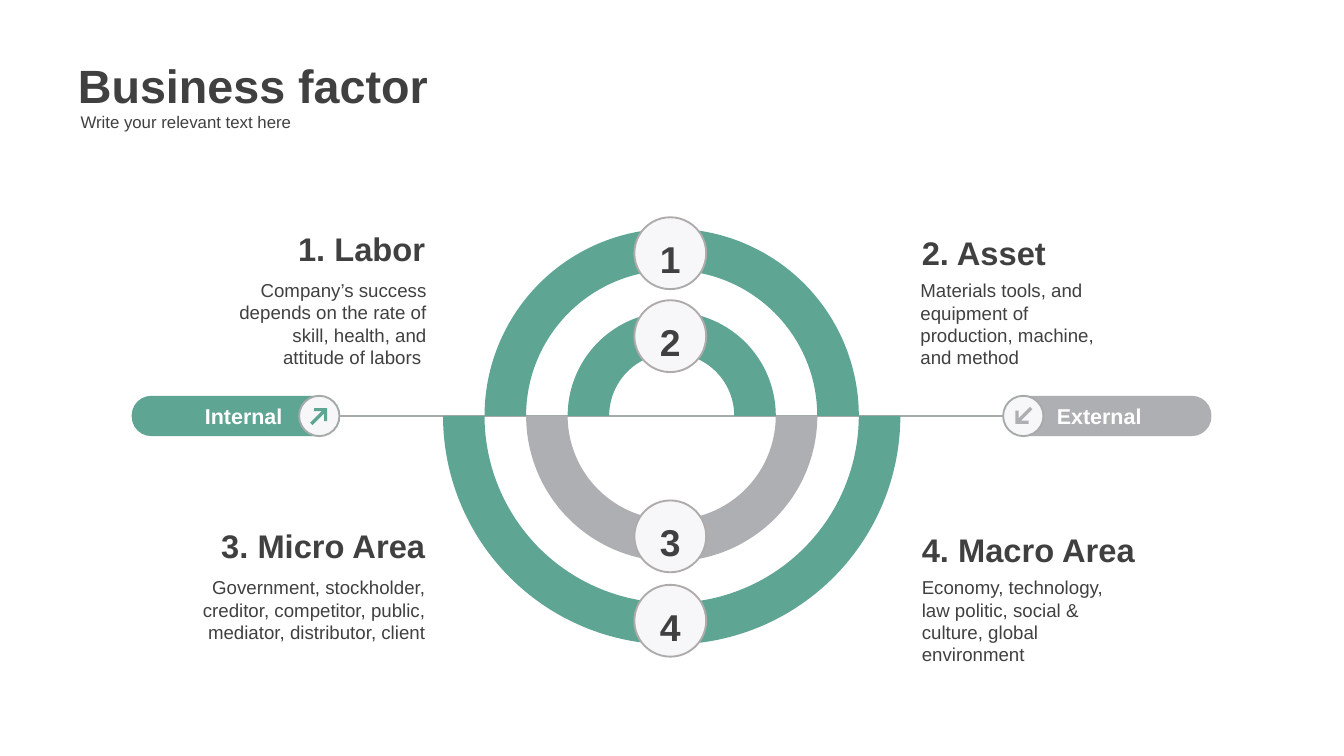
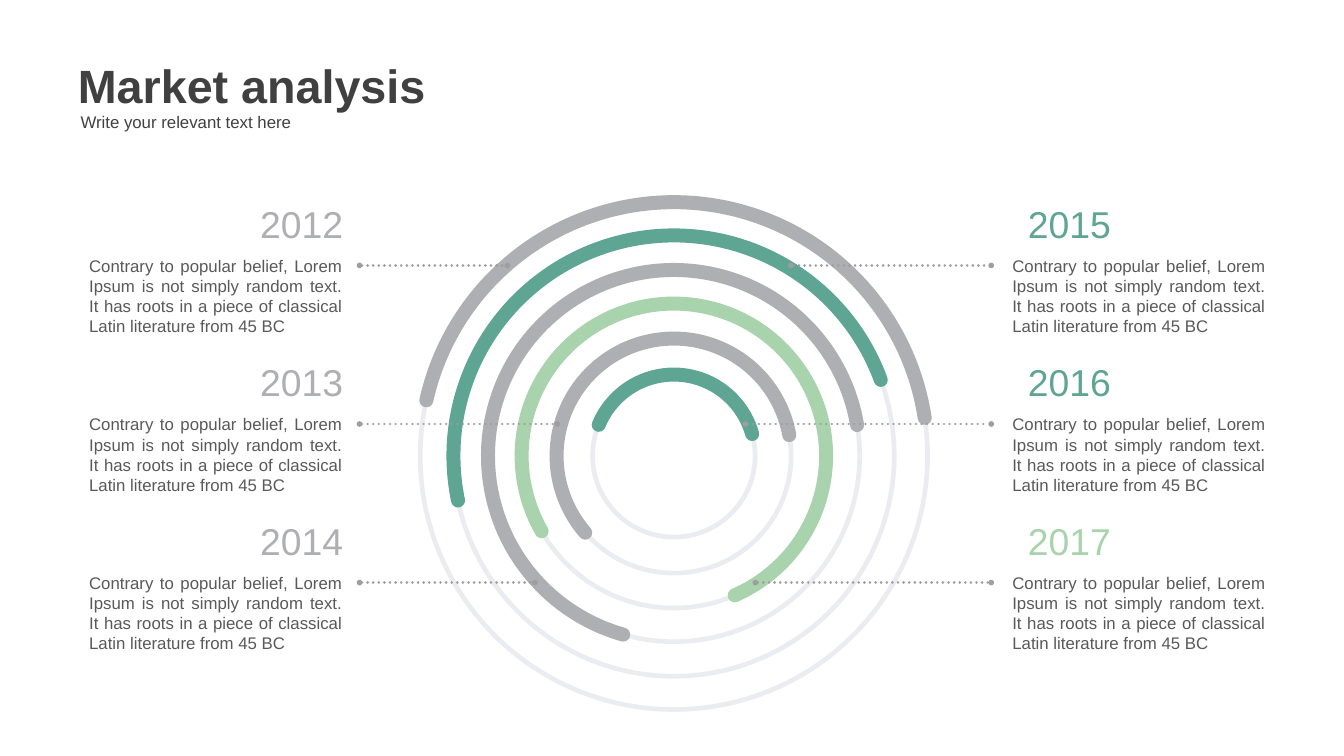
from lxml import etree
from pptx import Presentation
from pptx.dml.color import RGBColor
from pptx.enum import dml, shapes, text
from pptx.oxml.ns import qn
from pptx.util import Pt

FONT = "Arial"
COLORS = {
    "dark": "404040", "body": "595959", "green": "5FA593", "light": "A8D3AC",
    "gray": "AEAFB2", "track": "EBECF1", "badge": "F7F7FA", "edge": "AFABAB",
    "axis": "A6AAA9", "dots": "9D9DA2", "white": "FFFFFF",
}
LEFT, RIGHT, JUSTIFY = text.PP_ALIGN.LEFT, text.PP_ALIGN.RIGHT, text.PP_ALIGN.JUSTIFY
TOP, MIDDLE = text.MSO_ANCHOR.TOP, text.MSO_ANCHOR.MIDDLE
SHAPE = shapes.MSO_SHAPE

RING_CENTER = (719.7, 445.5)
RING_CORE, RING_STEP = 67, 44.5
ARC_CENTER = (722, 488.4)
ROW_PITCH = 169.9
LOREM = ("Contrary to popular belief, Lorem Ipsum is not simply random text. "
         "It has roots in a piece of classical Latin literature from 45 BC")


def rgb(name):
    return RGBColor.from_string(COLORS[name])


def add_text(s, box, words, size, color="dark", bold=False, align=LEFT,
             anchor=TOP, inset=None, spacing=None):
    sp = s.shapes.add_textbox(*map(Pt, box))
    tf = sp.text_frame
    tf.word_wrap = True
    tf.vertical_anchor = anchor
    if inset is not None:
        tf.margin_left = tf.margin_right = tf.margin_top = tf.margin_bottom = Pt(inset)
    p = tf.paragraphs[0]
    p.text = words
    p.alignment = align
    if spacing:
        p.line_spacing = spacing
    p.font.name, p.font.size, p.font.bold = FONT, Pt(size), bold
    p.font.color.rgb = rgb(color)
    return sp


def add_title(s, title, width):
    for sp in (
        add_text(s, (76.3, 56.9, width, 67.7), title, 50, bold=True, align=JUSTIFY),
        add_text(s, (79.2, 115.9, 650.9, 28.8), "Write your relevant text here", 18),
    ):
        sp.text_frame.auto_size = text.MSO_AUTO_SIZE.SHAPE_TO_FIT_TEXT


def paint(sp, fill=None, line=None, width=2):
    sp.shadow.inherit = False
    if fill:
        sp.fill.solid()
        sp.fill.fore_color.rgb = rgb(fill)
    else:
        sp.fill.background()
    if line:
        sp.line.color.rgb = rgb(line)
        sp.line.width = Pt(width)
    else:
        sp.line.fill.background()
    return sp


def add_shape(s, kind, box, **style):
    return paint(s.shapes.add_shape(kind, *map(Pt, box)), **style)


def add_outline(s, points, fill):
    points = [(Pt(x), Pt(y)) for x, y in points]
    builder = s.shapes.build_freeform(*points[0])
    builder.add_line_segments(points[1:], close=True)
    return paint(builder.convert_to_shape(), fill=fill)


def add_line(s, x1, y1, x2, y2, color, width):
    line = s.shapes.add_connector(shapes.MSO_CONNECTOR.STRAIGHT,
                                  Pt(x1), Pt(y1), Pt(x2), Pt(y2))
    line.line.color.rgb = rgb(color)
    line.line.width = Pt(width)
    etree.SubElement(line._element.spPr, qn("a:effectLst"))
    return line


# Business factor

def add_factor(s, heading, body, top, heading_x, heading_w, body_x, body_w, align):
    add_text(s, (heading_x, top, heading_w, 42.5), heading, 35, bold=True, align=align,
             anchor=MIDDLE, inset=4.3, spacing=1.2 if align == LEFT else None)
    add_text(s, (body_x, top + 49.6, body_w, 100), body, 20, align=align, inset=4.3)


def add_half_ring(s, level, upper, color):
    """Half ring that starts `level` steps outside the core radius."""
    cx, cy = RING_CENTER
    inner = RING_CORE + level * RING_STEP
    outer = inner + RING_STEP
    side = -1 if upper else 1
    ring = add_outline(s, [
        (cx + outer, cy), (cx, cy + side * outer), (cx - outer, cy),
        (cx - inner, cy), (cx, cy + side * inner), (cx + inner, cy)], color)

    # Bend the straight edges into quarter circles: (edge, radius, start, direction)
    edges = ring._element.findall(".//" + qn("a:lnTo"))
    for i, radius, start, turn in [(0, outer, 0, side), (1, outer, 90 * side, side),
                                   (3, inner, 180, -side), (4, inner, 90 * side, -side)]:
        arc = etree.Element(qn("a:arcTo"), wR=str(Pt(radius)), hR=str(Pt(radius)),
                            stAng=str(start % 360 * 60000), swAng=str(turn * 90 * 60000))
        edges[i].getparent().replace(edges[i], arc)


def add_pill(s, x, color, label, label_x, align, knob_x, rotation):
    """Rounded label with an arrow knob at its inner end."""
    top, height = 424.1, 43.2
    pill = add_shape(s, SHAPE.ROUNDED_RECTANGLE, (x, top, 223.2, height), fill=color)
    pill.adjustments[0] = 0.487
    add_text(s, (label_x, 429.8, 159.1, 31), label, 23, "white", True, align, MIDDLE, 4)
    add_shape(s, SHAPE.OVAL, (knob_x, top, height, height), fill="badge", line="axis")
    cx, cy = knob_x + height / 2, top + height / 2
    upper = [(-12, -1.7), (5.5, -1.7), (-0.4, -7.6), (2, -10)]
    lower = [(x, -y) for x, y in reversed(upper)]
    arrow = add_outline(s, [(cx + x, cy + y) for x, y in upper + [(12, 0)] + lower], color)
    arrow.rotation = rotation
    return pill


def add_badge(s, number, top):
    add_shape(s, SHAPE.OVAL, (679.7, top, 77, 77), fill="badge", line="edge")
    add_text(s, (702.8, top + 6.6, 57.6, 43.2), number, 40, bold=True, inset=4.3, spacing=1.2)


def build_business_factor(s):
    factors = [
        ("1. Labor", "Company’s success depends on the rate of skill, health, "
         "and attitude of labors ", 244.8, 245.3, 214.6, 243.9, 217.4, RIGHT),
        ("2. Asset", "Materials tools, and equipment of production, machine, and method",
         245, 983.3, 214.6, 981.8, 217.4, LEFT),
        ("3. Micro Area", "Government, stockholder, creditor, competitor, public, "
         "mediator, distributor, client", 563.3, 147.6, 312.5, 188.6, 271.4, RIGHT),
        ("4. Macro Area", "Economy, technology, law politic, social & culture, "
         "global environment", 563.3, 983.3, 399.6, 983.3, 214.6, LEFT),
    ]
    for factor in factors:
        add_factor(s, *factor)

    axis = add_line(s, 141.1, 445.7, 1288.8, 445.7, "axis", 2)
    internal = add_pill(s, 141.1, "green", "Internal", 147.6, RIGHT, 320.5, 315)
    axis.begin_connect(internal, 1)
    add_pill(s, 1074.8, "gray", "External", 1128.3, LEFT, 1074.8, 135)

    for level, upper, color in [(0, True, "green"), (2, True, "green"),
                                (3, False, "green"), (1, False, "gray")]:
        add_half_ring(s, level, upper, color)
    for number, top in zip("1234", (232.8, 321.7, 536.2, 626.6)):
        add_badge(s, number, top)
    add_title(s, "Business factor", 603.4)


# Market analysis

def add_arc(s, diameter, start, end, color, width):
    """Clockwise arc between two angles in degrees."""
    cx, cy = ARC_CENTER
    box = (cx - diameter / 2, cy - diameter / 2, diameter, diameter)
    arc = add_shape(s, SHAPE.ARC, box, line=color, width=width)
    for i, degrees in enumerate((start, end)):
        arc.adjustments[i] = degrees * 0.6
    arc.line._get_or_add_ln().set("cap", "rnd")


def add_dotted_line(s, x1, x2, y):
    line = add_line(s, x1, y, x2, y, "dots", 3)
    line.line.dash_style = dml.MSO_LINE.ROUND_DOT
    ln = line.line._get_or_add_ln()
    ln.set("cap", "rnd")
    for end in ("a:headEnd", "a:tailEnd"):
        etree.SubElement(ln, qn(end), type="oval", w="sm", len="sm")


def add_year(s, year, color, row, target_x, on_left):
    """Year, its text and a dotted line that reaches its arc at target_x."""
    y = 284.4 + row * ROW_PITCH
    if on_left:
        body_x, year_x = 88.4, 248
        add_dotted_line(s, 385.2, target_x, y)
    else:
        body_x, year_x = 1077.6, 1070.6
        add_dotted_line(s, target_x, 1062, y)
    add_text(s, (body_x, y - 14.2, 285.1, 99.4), LOREM, 18, "body", align=JUSTIFY)
    add_text(s, (year_x, y - 72.5, 126.7, 59), year, 40, color, align=RIGHT)


def build_market_analysis(s):
    arcs = [
        (543.6, 192.64, 351.39, "gray"),
        (472.3, 168.3, 339.85, "green"),
        (326.2, 150.29, 66.42, "light"),
        (398.2, 105.83, 350.48, "gray"),
        (251.3, 139.07, 349.83, "gray"),
        (174.2, 202.43, 344.42, "green"),
    ]
    for diameter, *_ in arcs:
        add_arc(s, diameter, 270.3, 270.05, "track", 5)
    for arc in arcs:
        add_arc(s, *arc, 15)

    years = [
        ("2012", "gray", 543.6), ("2013", "gray", 596.9), ("2014", "gray", 573.1),
        ("2015", "green", 847.4), ("2016", "green", 798.5), ("2017", "light", 809.3),
    ]
    for i, (year, color, target_x) in enumerate(years):
        add_year(s, year, color, i % 3, target_x, on_left=i < 3)
    add_title(s, "Market analysis", 522)


def main():
    prs = Presentation()
    prs.slide_width, prs.slide_height = Pt(1440), Pt(810)
    for build in (build_business_factor, build_market_analysis):
        build(prs.slides.add_slide(prs.slide_layouts[6]))
    prs.save("out.pptx")


if __name__ == "__main__":
    main()
